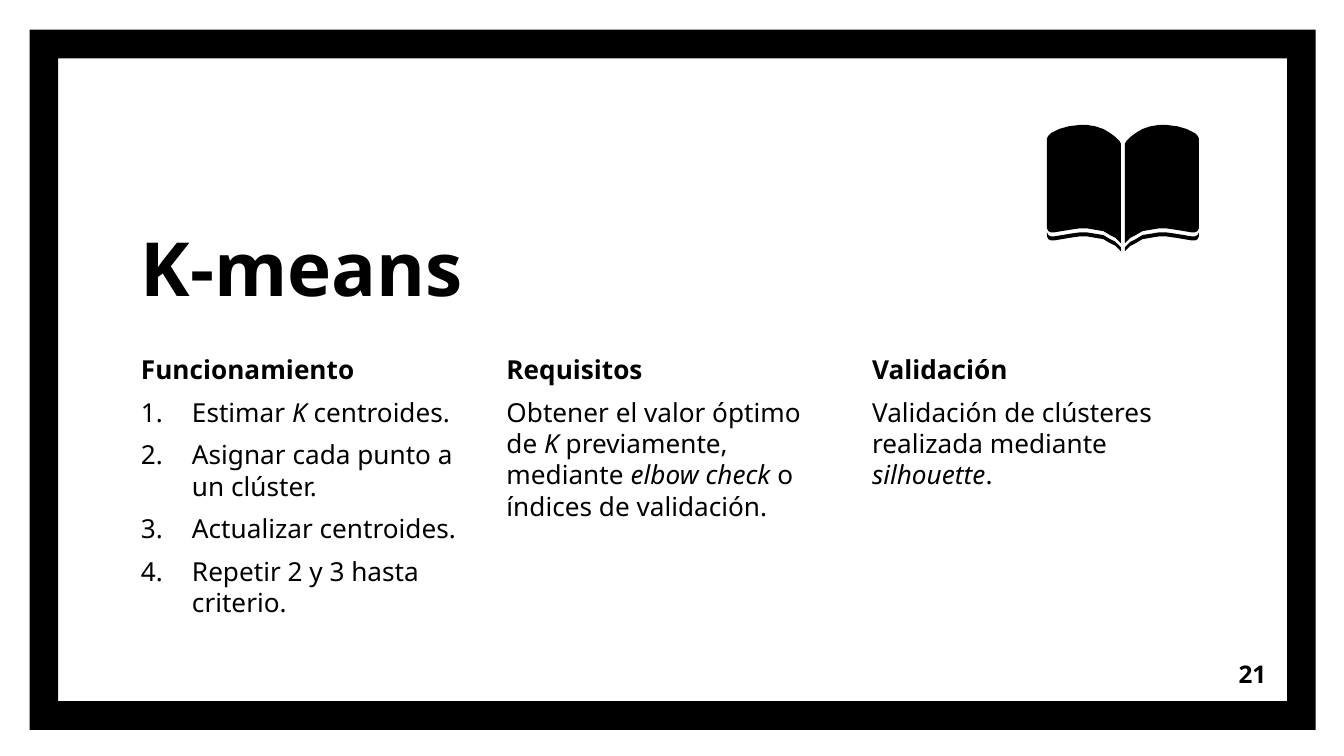
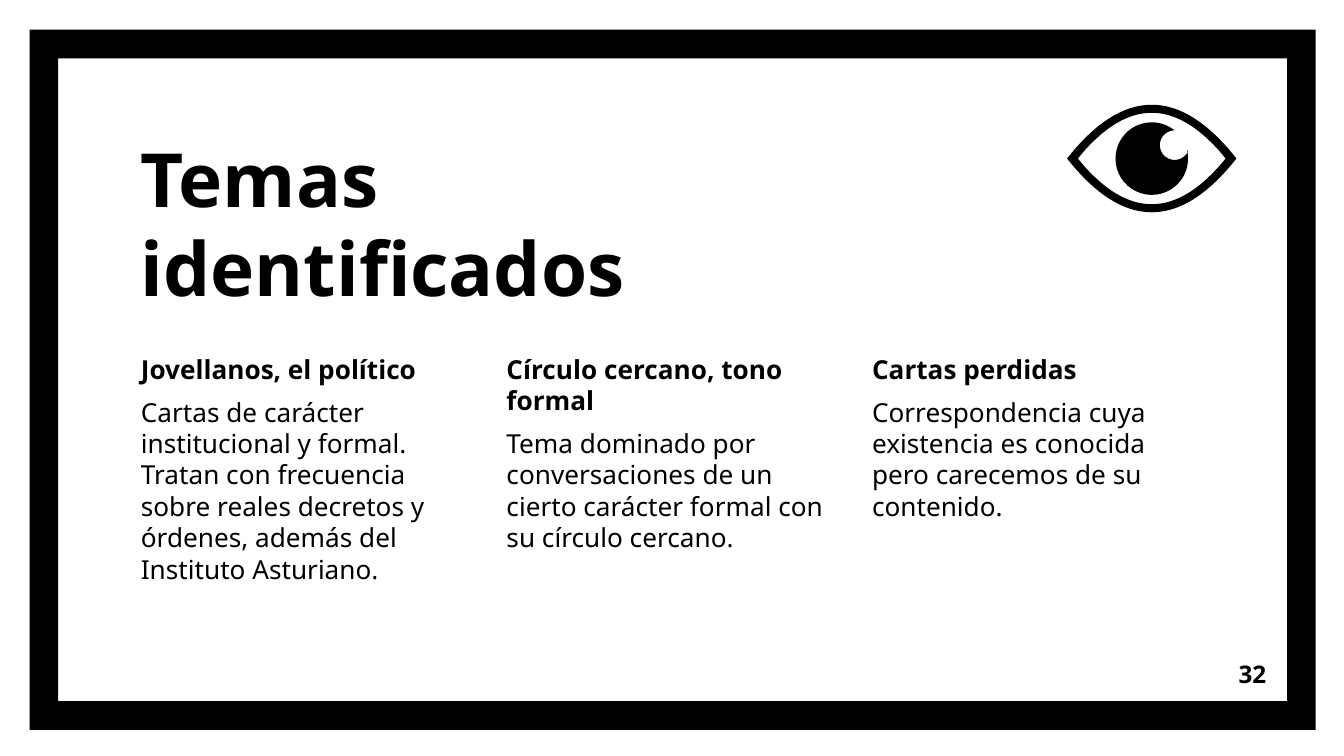
from math import cos, radians, sin

from lxml import etree
from pptx import Presentation
from pptx.dml.color import RGBColor
from pptx.enum.shapes import MSO_SHAPE
from pptx.enum.text import MSO_ANCHOR, PP_ALIGN
from pptx.oxml.ns import qn
from pptx.util import Pt

FRAME = MSO_SHAPE.FRAME
TOP, MIDDLE, BOTTOM = MSO_ANCHOR.TOP, MSO_ANCHOR.MIDDLE, MSO_ANCHOR.BOTTOM
LEFT, RIGHT = PP_ALIGN.LEFT, PP_ALIGN.RIGHT

EMU_PER_PX = 9144
PAGE_WIDTH = 1000
INK = "000000"
FONT = "Noto Sans"
TITLE_SIZE, BODY_SIZE, NUMBER_SIZE = 40, 14, 13
INSET = 10
COLUMN_LEFT, COLUMN_TOP, COLUMN_STEP = 95, 253, 272
COLUMN_WIDTH, COLUMN_HEIGHT = 259, 223
LIST_INDENT = 38

BOOK_MIRROR = 1671
PAGE_TOP = [(834, 107), (833, 105), (830, 102), (826, 99), (821, 96), (815, 94), (809, 93),
            (803, 93), (795, 94), (788, 96), (782, 99), (780, 101), (779, 103)]
PAGE_BOTTOM = [(779, 170), (780, 172), (782, 173), (784, 173), (790, 172), (796, 171), (803, 170),
               (809, 170), (815, 171), (821, 172), (826, 175), (830, 177), (834, 181)]
EYE_CENTER = (857, 118)


def px(length):
    """Turn px into EMU."""
    return round(length * EMU_PER_PX)


def color(hex_string):
    """Turn a hex string into a colour."""
    return RGBColor.from_string(hex_string)


def shifted(points, down):
    """Move points down by a distance."""
    return [(x, y + down) for x, y in points]


def mirrored(points):
    """Reflect points across the spine of the book."""
    return [(BOOK_MIRROR - x, y) for x, y in points]


def arc(center, radius, start, end, steps=40):
    """Sample an arc between two angles in degrees."""
    angles = [radians(start + (end - start) * i / steps) for i in range(steps + 1)]
    return [(center[0] + radius * cos(a), center[1] + radius * sin(a)) for a in angles]


def almond(half_width, half_height, steps=20):
    """Sample an eyelid outline made of two parabolas."""
    x, y = EYE_CENTER
    outline = []
    for side in (1, -1):
        for i in range(-steps, steps):
            share = i / steps
            rise = half_height * (1 - share ** 2)
            outline.append((x + side * share * half_width, y - side * rise))
    return outline


class Builder:
    """Holds the deck style and draws on the current page."""

    def __init__(self):
        """Start an empty deck."""
        self.deck = Presentation()
        self.deck.slide_width = px(PAGE_WIDTH)
        self.deck.slide_height = px(PAGE_WIDTH * 9 / 16)
        self.page = None

    def paint(self, shape):
        """Give a shape a plain ink fill."""
        shape.shadow.inherit = False
        shape.fill.solid()
        shape.fill.fore_color.rgb = color(INK)
        shape.line.fill.background()

    def add_span(self, para, text, size, bold=False, italic=False):
        """Add one styled run."""
        span = para.add_run()
        span.text = text
        font = span.font
        font.name, font.size, font.bold, font.italic = FONT, Pt(size), bold, italic
        font.color.rgb = color(INK)

    def add_box(self, left, top, width, height, anchor=TOP):
        """Add a wrapping text box and return its text frame."""
        box = self.page.shapes.add_textbox(px(left), px(top), px(width), px(height))
        frame = box.text_frame
        frame.word_wrap = True
        frame.vertical_anchor = anchor
        frame.margin_left = frame.margin_right = px(INSET)
        frame.margin_top = frame.margin_bottom = px(INSET)
        return frame

    def add_line(self, left, top, width, height, text, size, anchor, align=LEFT):
        """Add a box with one bold paragraph."""
        para = self.add_box(left, top, width, height, anchor).paragraphs[0]
        para.alignment = align
        self.add_span(para, text, size, bold=True)

    def add_column(self, index, heading, paragraphs, numbered=False):
        """Add a heading and paragraphs whose odd spans are italic."""
        left = COLUMN_LEFT + index * COLUMN_STEP
        frame = self.add_box(left, COLUMN_TOP, COLUMN_WIDTH, COLUMN_HEIGHT)
        para = frame.paragraphs[0]
        para.space_before = Pt(6)
        self.add_span(para, heading, BODY_SIZE, bold=True)
        for spans in paragraphs:
            para = frame.add_paragraph()
            para.space_before = Pt(6)
            if numbered:
                self.number(para)
            for position, text in enumerate(spans):
                self.add_span(para, text, BODY_SIZE, italic=position % 2 == 1)

    def number(self, para):
        """Make a paragraph an item of a numbered list."""
        properties = para._p.get_or_add_pPr()
        properties.set("marL", str(px(LIST_INDENT)))
        properties.set("indent", str(-px(LIST_INDENT)))
        etree.SubElement(properties, qn("a:buAutoNum"), type="arabicPeriod")

    def add_outline(self, *contours):
        """Draw closed contours as one filled freeform."""
        builder = None
        for contour in contours:
            points = [(px(x), px(y)) for x, y in contour]
            if builder is None:
                builder = self.page.shapes.build_freeform(*points[0], scale=1.0)
            else:
                builder.move_to(*points[0])
            builder.add_line_segments(points[1:], close=True)
        self.paint(builder.convert_to_shape())

    def add_book(self):
        """Draw an open book."""
        leaf = PAGE_TOP + PAGE_BOTTOM
        cover = shifted(PAGE_BOTTOM, 3) + shifted(PAGE_BOTTOM, 6)[::-1]
        for half in (cover, leaf):
            self.add_outline(half)
            self.add_outline(mirrored(half))

    def add_eye(self):
        """Draw an eye with a glint in the pupil."""
        self.add_outline(almond(55, 34), almond(63, 40))
        self.add_outline(arc(EYE_CENTER, 27, -13, 308) + arc((874, 108), 11, 270, 24))

    def add_page(self, title, number, columns, draw_icon, numbered=()):
        """Add a framed page with a title, three columns and an icon."""
        self.page = self.deck.slides.add_slide(self.deck.slide_layouts[6])
        border = self.page.shapes.add_shape(FRAME, px(22), px(22), px(957), px(521))
        border.adjustments[0] = 0.041
        self.paint(border)
        self.add_line(COLUMN_LEFT, 93, 557, 149, title, TITLE_SIZE, BOTTOM)
        for index, (heading, paragraphs) in enumerate(columns):
            self.add_column(index, heading, paragraphs, index in numbered)
        self.add_line(892, 480, 60, 43, number, NUMBER_SIZE, MIDDLE, RIGHT)
        draw_icon()


def main():
    """Build and save the deck."""
    builder = Builder()
    builder.add_page("K-means", "21", [
        ("Funcionamiento", [
            ["Estimar ", "K", " centroides."],
            ["Asignar cada punto a un clúster."],
            ["Actualizar centroides."],
            ["Repetir 2 y 3 hasta criterio."],
        ]),
        ("Requisitos", [["Obtener el valor óptimo de ", "K", " previamente, mediante ",
                         "elbow check ", "o índices de validación."]]),
        ("Validación", [["Validación de clústeres realizada mediante ", "silhouette", "."]]),
    ], builder.add_book, numbered=(0,))
    builder.add_page("Temas identificados", "32", [
        ("Jovellanos, el político", [[
            "Cartas de carácter institucional y formal. Tratan con frecuencia sobre "
            "reales decretos y órdenes, además del Instituto Asturiano."]]),
        ("Círculo cercano, tono formal", [[
            "Tema dominado por conversaciones de un cierto carácter formal con su "
            "círculo cercano."]]),
        ("Cartas perdidas", [[
            "Correspondencia cuya existencia es conocida pero carecemos de su contenido."]]),
    ], builder.add_eye)
    builder.deck.save("out.pptx")


if __name__ == "__main__":
    main()
